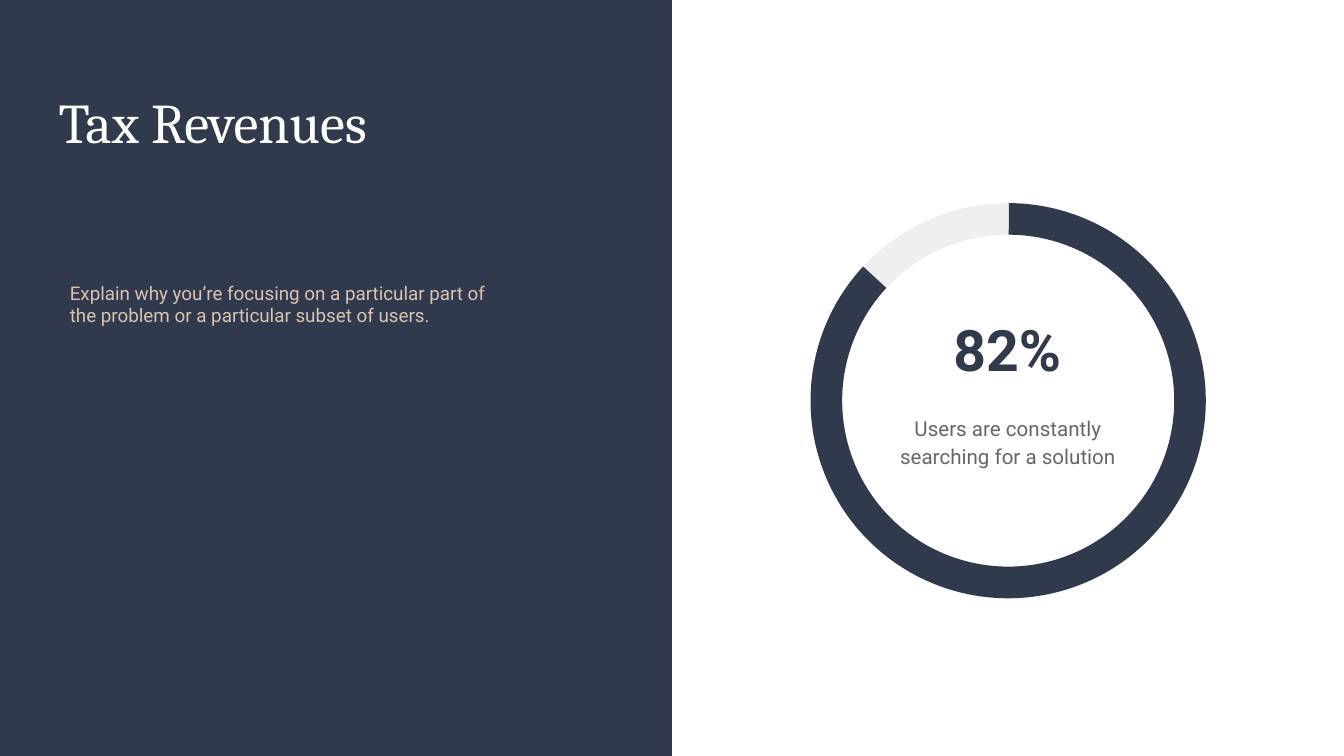
from pptx import Presentation, util as u
from pptx.dml import color
from pptx.enum import shapes, text

COLORS = {"navy": "31394D", "white": "FFFFFF", "sand": "D9C4B1",
          "track": "EFEFEF", "gray": "666666"}
WIDTH, HEIGHT = 25.4, 14.29
RING = (15.32, 3.84, 7.47, 7.47)
ARCS = [
    {"color": "track", "rotation": 176.5, "adjust": (26.28, 58.81, 0.08)},
    {"color": "navy", "rotation": 0, "adjust": (162.11, 133.67, 0.08)},
]
LEFT, CENTER = text.PP_ALIGN.LEFT, text.PP_ALIGN.CENTER
TEXTS = [
    {"text": "Tax Revenues", "at": (0.86, 1.4, 10.29, 5.69), "font": "Cambria",
     "size": 30, "color": "white", "align": LEFT, "line": 1, "after": 0},
    {"text": "Explain why you’re focusing on a particular part of the problem "
             "or a particular subset of users.",
     "at": (1.07, 5.11, 8.53, 2.11), "font": "Roboto",
     "size": 10.1, "color": "sand", "align": LEFT, "line": 0.95, "after": 10},
    {"text": "82%", "at": (16.76, 5.79, 4.55, 1.78), "font": "Roboto", "bold": True,
     "size": 30.6, "color": "navy", "align": CENTER, "line": 0.95, "after": 0},
    {"text": "Users are constantly searching for a solution",
     "at": (16.33, 7.54, 5.44, 2.11), "font": "Roboto",
     "size": 11, "color": "gray", "align": CENTER, "line": 1.15, "after": 12},
]


def rgb(name):
    return color.RGBColor.from_string(COLORS[name])


def place(at):
    return [u.Cm(length) for length in at]


def add_filled(page, kind, at, fill):
    shape = page.shapes.add_shape(kind, *place(at))
    shape.shadow.inherit = False
    shape.fill.solid()
    shape.fill.fore_color.rgb = rgb(fill)
    shape.line.fill.background()
    return shape


def add_text(page, item):
    box = page.shapes.add_textbox(*place(item["at"]))
    frame = box.text_frame
    frame.word_wrap = True
    frame.vertical_anchor = text.MSO_ANCHOR.TOP
    frame.margin_left = frame.margin_right = u.Cm(0.25)
    frame.margin_top = frame.margin_bottom = u.Cm(0.25)
    para = frame.paragraphs[0]
    para.text = item["text"]
    para.alignment = item["align"]
    para.line_spacing = item["line"]
    para.space_after = u.Pt(item["after"])
    para.font.name = item["font"]
    para.font.size = u.Pt(item["size"])
    para.font.bold = item.get("bold", False)
    para.font.color.rgb = rgb(item["color"])


def main():
    deck = Presentation()
    deck.slide_width, deck.slide_height = u.Cm(WIDTH), u.Cm(HEIGHT)
    page = deck.slides.add_slide(deck.slide_layouts[6])
    add_filled(page, shapes.MSO_SHAPE.RECTANGLE, (0, 0, WIDTH / 2, HEIGHT), "navy")
    for item in ARCS:
        arc = add_filled(page, shapes.MSO_SHAPE.BLOCK_ARC, RING, item["color"])
        arc.rotation = item["rotation"]
        for index, value in enumerate(item["adjust"]):
            arc.adjustments[index] = value
    for item in TEXTS:
        add_text(page, item)
    deck.save("out.pptx")


if __name__ == "__main__":
    main()
